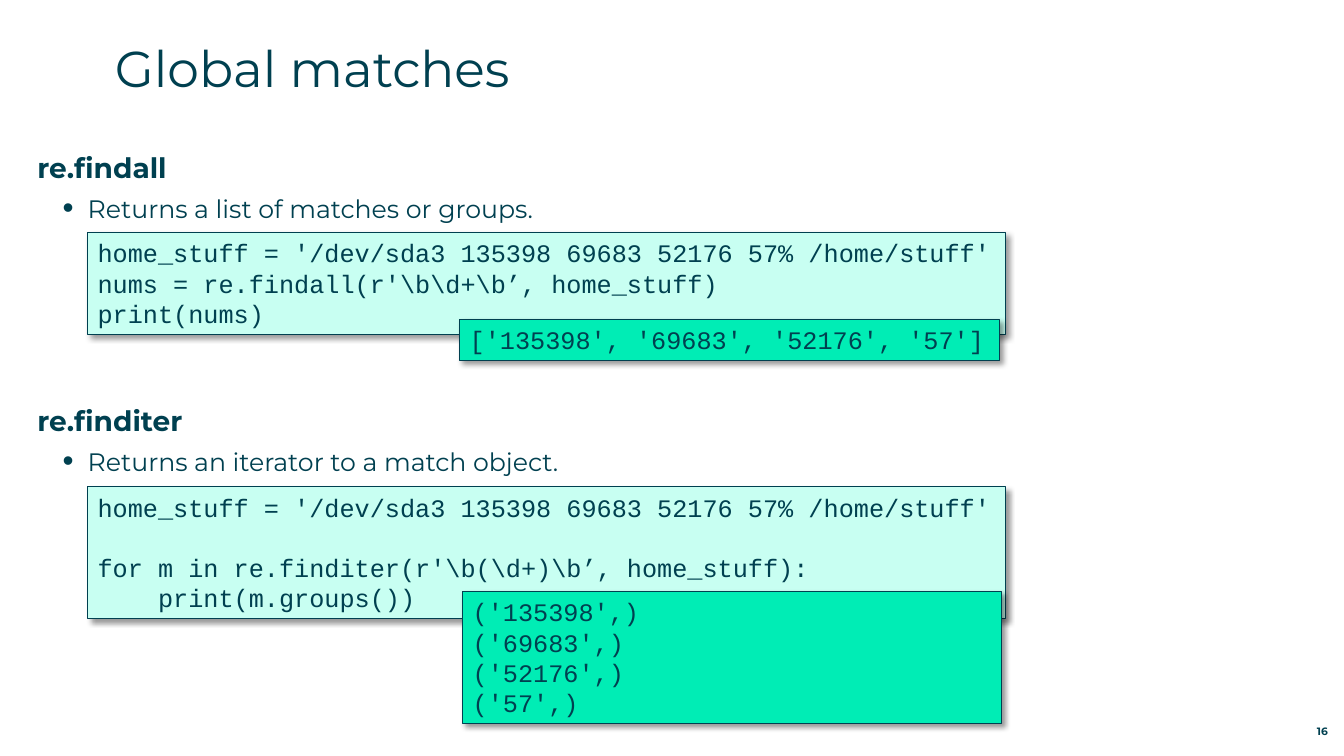
"""Build the slide on global regular expression matches."""
from lxml.etree import SubElement
from pptx import Presentation
from pptx.dml.color import RGBColor
from pptx.enum.shapes import MSO_SHAPE
from pptx.enum.text import MSO_ANCHOR, PP_ALIGN
from pptx.oxml.ns import qn
from pptx.util import Inches, Pt

INK = RGBColor(0x00, 0x40, 0x50)
PALE = RGBColor(0xC8, 0xFF, 0xF2)
MINT = RGBColor(0x00, 0xED, 0xB5)
BLACK = RGBColor(0x00, 0x00, 0x00)

TITLE = {"name": "Montserrat", "size": Pt(36), "bold": False}
HEAD = {"name": "Montserrat", "size": Pt(20), "bold": True}
BODY = {"name": "Montserrat", "size": Pt(18), "bold": False}
NOTE = {"name": "Montserrat", "size": Pt(7.6), "bold": True}
CODE = {"name": "Courier New", "size": Pt(18), "bold": False}
FLUSH = {"margin_left": 0, "margin_top": 0, "margin_right": 0,
         "margin_bottom": 0, "word_wrap": True}

STUFF = "home_stuff = '/dev/sda3 135398 69683 52176 57% /home/stuff'"
FIND = [STUFF, r"nums = re.findall(r'\b\d+\b’, home_stuff)", "print(nums)"]
ITER = [STUFF, "", r"for m in re.finditer(r'\b(\d+)\b’, home_stuff):",
        "    print(m.groups())"]
LIST = ["['135398', '69683', '52176', '57']"]
GROUPS = [f"('{num}',)" for num in (135398, 69683, 52176, 57)]


def apply(item, values):
    """Set each named value on an item."""
    for name, value in values.items():
        setattr(item, name, value)


def write(para, text, font):
    """Put styled text in a paragraph."""
    run = para.add_run()
    run.text = text
    apply(run.font, font)
    run.font.color.rgb = INK


def add_box(slide, area, text, font, **frame):
    """Add a text box without insets and return its frame."""
    box = slide.shapes.add_textbox(*map(Inches, area)).text_frame
    apply(box, FLUSH | frame)
    write(box.paragraphs[0], text, font)
    return box


def add_bullet(para):
    """Give a paragraph a large round bullet."""
    props = para._p.get_or_add_pPr()
    props.set("marL", str(Inches(0.5)))
    props.set("indent", str(Inches(-0.25)))
    SubElement(props, qn("a:buSzPct"), val="125000")
    SubElement(props, qn("a:buFont"), typeface="Arial")
    SubElement(props, qn("a:buChar"), char="•")


def add_topic(slide, top, head, point):
    """Add a heading with one bullet point below."""
    box = add_box(slide, (0.37, top, 12.59, 0.8), head, HEAD)
    box.paragraphs[0].space_after = Pt(6.5)
    para = box.add_paragraph()
    add_bullet(para)
    write(para, point, BODY)


def add_shadow(shape):
    """Cast a soft shadow to the lower right."""
    shape.shadow.inherit = False
    effects = shape._element.spPr.find(qn("a:effectLst"))
    outer = SubElement(effects, qn("a:outerShdw"), blurRad=str(Pt(4)),
                       dist=str(Pt(3)), dir="2700000", algn="tl",
                       rotWithShape="0")
    color = SubElement(outer, qn("a:srgbClr"), val=str(BLACK))
    SubElement(color, qn("a:alpha"), val="40000")


def add_code(slide, area, fill, lines):
    """Add a shadowed panel of code, with gaps for empty lines."""
    shape = slide.shapes.add_shape(MSO_SHAPE.RECTANGLE, *map(Inches, area))
    shape.fill.solid()
    shape.fill.fore_color.rgb = fill
    shape.line.color.rgb = INK
    shape.line.width = Pt(0.75)
    add_shadow(shape)
    frame = shape.text_frame
    apply(frame, {"word_wrap": True, "vertical_anchor": MSO_ANCHOR.TOP})
    para, gap = frame.paragraphs[0], 0
    for line in lines:
        if not line:
            gap += 21.6
            continue
        if para.runs:
            para = frame.add_paragraph()
        para.alignment = PP_ALIGN.LEFT
        if gap:
            para.space_before = Pt(gap)
        write(para, line, CODE)
        gap = 0


def main():
    """Build and save the slide."""
    deck = Presentation()
    apply(deck, {"slide_width": Inches(13.33), "slide_height": Inches(7.5)})
    slide = deck.slides.add_slide(deck.slide_layouts[6])
    add_box(slide, (1.14, 0.37, 11.8, 0.88), "Global matches", TITLE)
    add_topic(slide, 1.49, "re.findall", "Returns a list of matches or groups.")
    add_topic(slide, 4, "re.finditer",
              "Returns an iterator to a match object.")
    add_code(slide, (0.87, 2.31, 9.1, 1.01), PALE, FIND)
    add_code(slide, (0.87, 4.83, 9.1, 1.31), PALE, ITER)
    add_code(slide, (4.56, 3.17, 5.35, 0.41), MINT, LIST)
    add_code(slide, (4.59, 5.87, 5.34, 1.31), MINT, GROUPS)
    page = add_box(slide, (12.31, 7.12, 0.86, 0.2), "16", NOTE,
                   vertical_anchor=MSO_ANCHOR.BOTTOM)
    page.paragraphs[0].alignment = PP_ALIGN.RIGHT
    deck.save("out.pptx")


if __name__ == "__main__":
    main()
